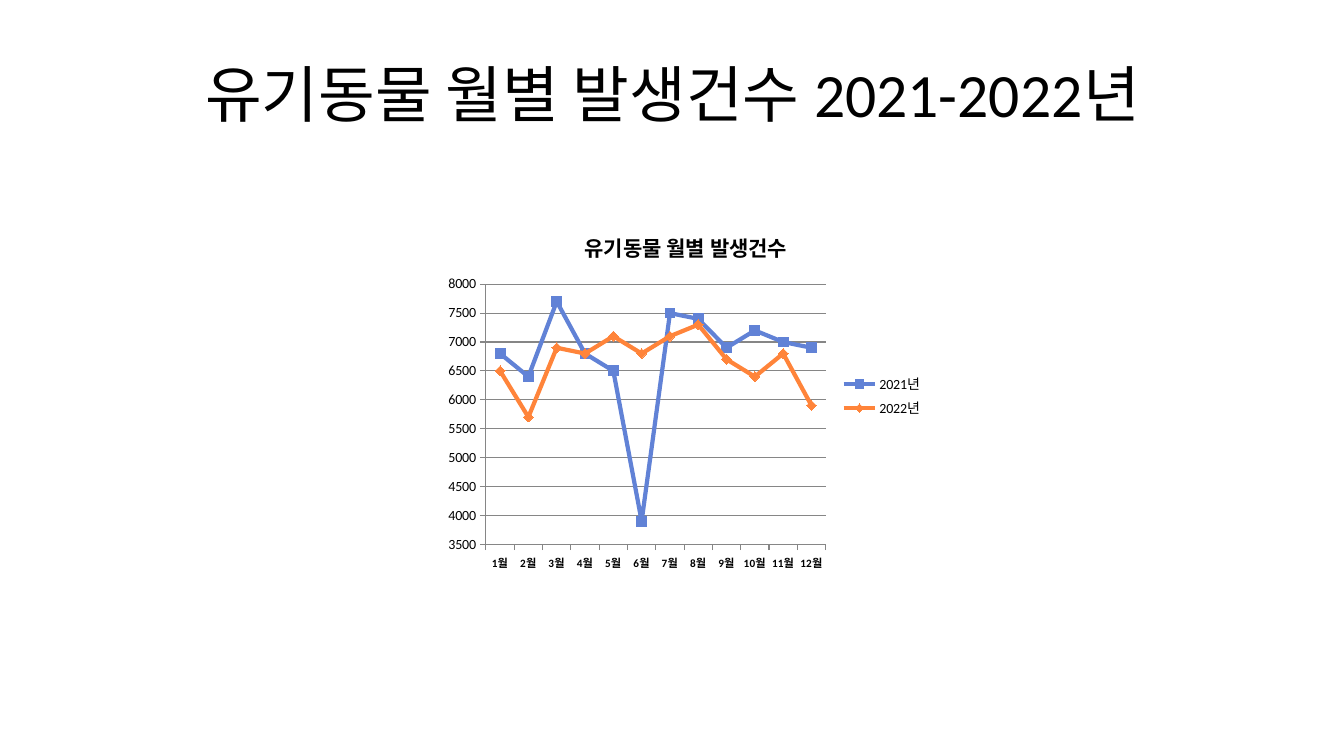
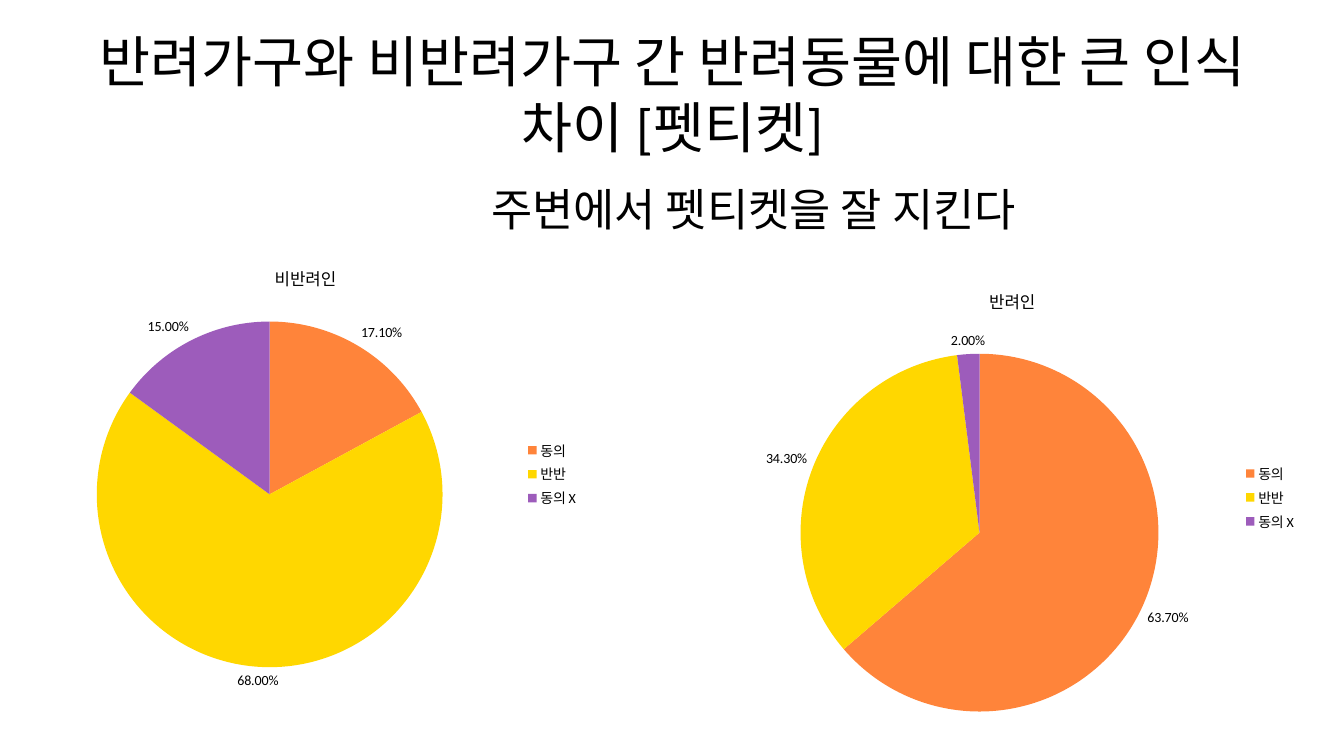
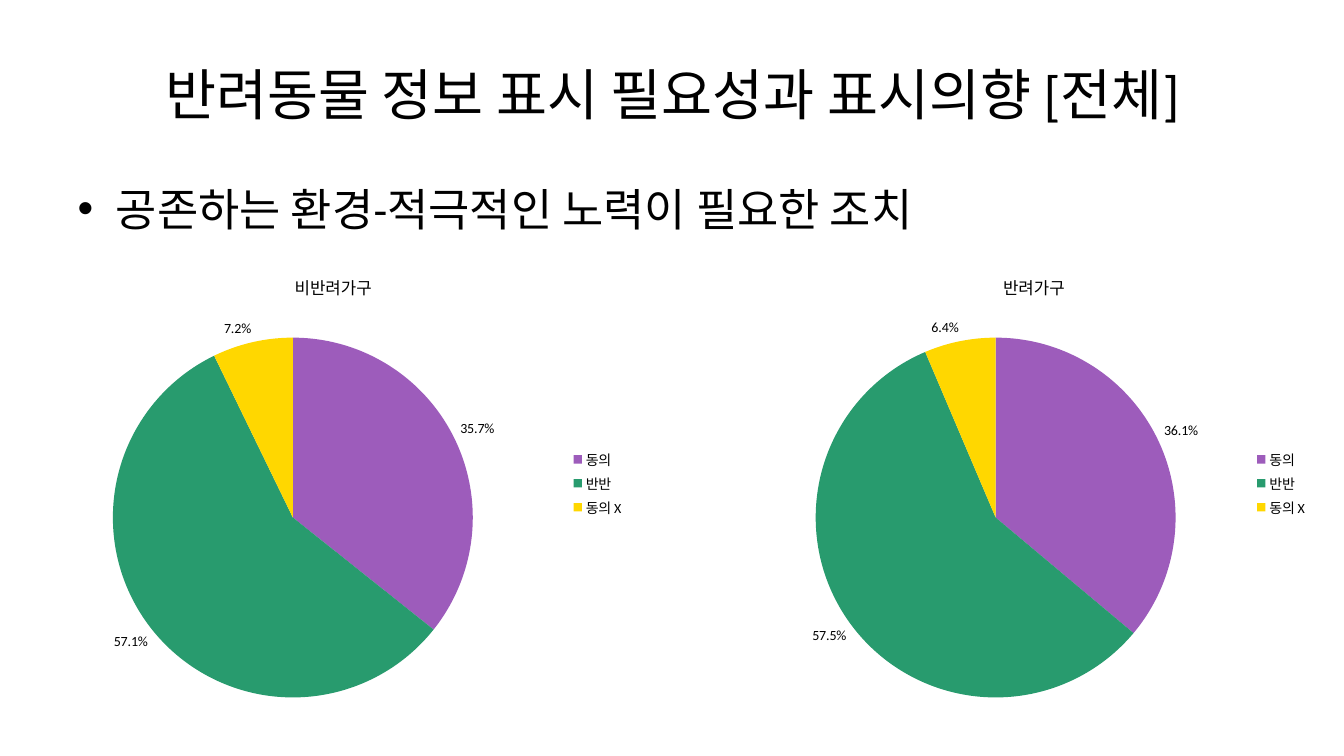
from dataclasses import dataclass

from lxml import etree
from pptx import Presentation
from pptx import util as u
from pptx.chart.chart import Chart
from pptx.chart.data import CategoryChartData
from pptx.dml.color import RGBColor
from pptx.enum import chart as ch
from pptx.enum import text as tx
from pptx.oxml import ns
from pptx.oxml.xmlchemy import OxmlElement
from pptx.slide import Slide


@dataclass(frozen=True)
class Theme:
    font: str = "Calibri"
    ink: str = "000000"
    grid: str = "868686"
    blue: str = "6182D6"
    orange: str = "FF843A"
    yellow: str = "FFD700"
    purple: str = "9D5CBB"
    green: str = "289B6E"
    title: float = 44
    long_title: float = 39.6
    body: float = 32
    line_title: float = 15
    pie_title: float = 12
    chart: float = 10
    month: float = 8


@dataclass(frozen=True)
class Box:
    left: float
    top: float
    width: float
    height: float

    def place(self) -> tuple[int, ...]:
        return tuple(u.Inches(v) for v in (self.left, self.top, self.width, self.height))


@dataclass(frozen=True)
class Series:
    name: str
    values: tuple[int, ...]
    color: str
    marker: ch.XL_MARKER_STYLE


@dataclass(frozen=True)
class Pie:
    title: str
    values: tuple[float, ...]
    box: Box
    plot: Box


@dataclass(frozen=True)
class PieSlide:
    title: str
    body: str
    indent: float
    bullet: bool
    colors: tuple[str, ...]
    number_format: str
    pies: tuple[Pie, ...]


T = Theme()
TITLE_BOX = Box(0.67, 0.3, 12, 1.25)
BODY_BOX = Box(0.67, 1.75, 12, 4.95)
LINE_BOX = Box(4.36, 2.12, 4.89, 3.62)
LINE_PLOT = Box(4.82, 2.82, 3.37, 2.58)
MONTHS = [f"{m}월" for m in range(1, 13)]
ANSWERS = ("동의", "반반", "동의 X")

MONTHLY = (
    Series("2021년", (6800, 6400, 7700, 6800, 6500, 3900, 7500, 7400, 6900, 7200, 7000, 6900),
           T.blue, ch.XL_MARKER_STYLE.SQUARE),
    Series("2022년", (6500, 5700, 6900, 6800, 7100, 6800, 7100, 7300, 6700, 6400, 6800, 5900),
           T.orange, ch.XL_MARKER_STYLE.DIAMOND),
)

PIE_SLIDES = (
    PieSlide(
        "반려가구와 비반려가구 간 반려동물에 대한 큰 인식 차이 [펫티켓]",
        "주변에서 펫티켓을 잘 지킨다", 4.1, False,
        (T.orange, T.yellow, T.purple), "0.00%",
        (Pie("비반려인", (0.171, 0.68, 0.15),
             Box(0.22, 2.44, 5.62, 4.53), Box(0.96, 3.19, 3.43, 3.43)),
         Pie("반려인", (0.637, 0.343, 0.02),
             Box(7.12, 2.67, 5.84, 4.53), Box(7.94, 3.51, 3.55, 3.55))),
    ),
    PieSlide(
        "반려동물 정보 표시 필요성과 표시의향 [전체]",
        "공존하는 환경-적극적인 노력이 필요한 조치", 0.38, True,
        (T.purple, T.green, T.yellow), "0.0%",
        (Pie("비반려가구", (0.357, 0.571, 0.072),
             Box(0.32, 2.53, 5.97, 4.53), Box(1.12, 3.35, 3.57, 3.57)),
         Pie("반려가구", (0.361, 0.575, 0.064),
             Box(7.44, 2.53, 5.63, 4.53), Box(8.09, 3.35, 3.57, 3.57))),
    ),
)


def set_font(font, size: float, bold: bool = False) -> None:
    for name, value in {"name": T.font, "size": u.Pt(size), "bold": bold}.items():
        setattr(font, name, value)
    font.color.rgb = RGBColor.from_string(T.ink)


def fill_placeholder(sp, box: Box, text: str, size: float):
    for name, value in zip(("left", "top", "width", "height"), box.place()):
        setattr(sp, name, value)
    tf = sp.text_frame
    tf.word_wrap = True
    tf.auto_size = tx.MSO_AUTO_SIZE.NONE
    p = tf.paragraphs[0]
    p.space_before = u.Pt(0)
    r = p.add_run()
    r.text = text
    set_font(r.font, size)
    return p


def add_title(s: Slide, text: str, size: float) -> None:
    p = fill_placeholder(s.shapes.title, TITLE_BOX, text, size)
    p.alignment = tx.PP_ALIGN.CENTER


def add_body(s: Slide, text: str, indent: float, bullet: bool) -> None:
    p = fill_placeholder(s.placeholders[1], BODY_BOX, text, T.body)
    pPr = p._p.get_or_add_pPr()
    pPr.set("marL", str(u.Inches(indent)))
    pPr.set("indent", str(-u.Inches(indent) if bullet else 0))
    mark = OxmlElement("a:buChar" if bullet else "a:buNone")
    if bullet:
        mark.set("char", "•")
    pPr.append(mark)


def set_plot_area(chart: Chart, box: Box, plot: Box) -> None:
    area = chart._chartSpace.chart.plotArea
    for old in area.findall(ns.qn("c:layout")):
        area.remove(old)
    layout = etree.Element(ns.qn("c:layout"))
    manual = etree.SubElement(layout, ns.qn("c:manualLayout"))
    values = {
        "layoutTarget": "inner", "xMode": "edge", "yMode": "edge",
        "x": (plot.left - box.left) / box.width,
        "y": (plot.top - box.top) / box.height,
        "w": plot.width / box.width,
        "h": plot.height / box.height,
    }
    for name, value in values.items():
        etree.SubElement(manual, ns.qn(f"c:{name}")).set("val", str(value))
    area.insert(0, layout)


def add_chart(s: Slide, kind: ch.XL_CHART_TYPE, data: CategoryChartData, box: Box,
              plot: Box, title: str, size: float, bold: bool) -> Chart:
    chart = s.shapes.add_chart(kind, *box.place(), data).chart
    set_font(chart.font, T.chart)
    chart.has_title = True
    p = chart.chart_title.text_frame.paragraphs[0]
    r = p.add_run()
    r.text = title
    set_font(r.font, size, bold)
    chart.chart_title.include_in_layout = False
    chart.has_legend = True
    chart.legend.position = ch.XL_LEGEND_POSITION.RIGHT
    chart.legend.include_in_layout = False
    set_plot_area(chart, box, plot)
    return chart


def add_line_chart(s: Slide) -> None:
    data = CategoryChartData()
    data.categories = MONTHS
    for row in MONTHLY:
        data.add_series(row.name, row.values)
    chart = add_chart(s, ch.XL_CHART_TYPE.LINE_MARKERS, data, LINE_BOX, LINE_PLOT,
                      "유기동물 월별 발생건수", T.line_title, True)
    axis = chart.value_axis
    limits = {"minimum_scale": 3500, "maximum_scale": 8000, "major_unit": 500,
              "has_major_gridlines": True}
    for name, value in limits.items():
        setattr(axis, name, value)
    for ax in (axis, chart.category_axis):
        ax.major_tick_mark = ch.XL_TICK_MARK.OUTSIDE
    for line in (axis.format.line, chart.category_axis.format.line, axis.major_gridlines.format.line):
        line.color.rgb = RGBColor.from_string(T.grid)
        line.width = u.Pt(0.75)
    set_font(axis.tick_labels.font, T.chart)
    set_font(chart.category_axis.tick_labels.font, T.month, True)
    for row, series in zip(MONTHLY, chart.plots[0].series):
        color = RGBColor.from_string(row.color)
        series.smooth = False
        series.format.line.color.rgb = color
        series.format.line.width = u.Pt(3)
        series.marker.style = row.marker
        series.marker.size = 7
        series.marker.format.fill.solid()
        series.marker.format.fill.fore_color.rgb = color
        series.marker.format.line.color.rgb = color


def add_pie(s: Slide, pie: Pie, colors: tuple[str, ...], number_format: str) -> None:
    data = CategoryChartData(number_format=number_format)
    data.categories = ANSWERS
    data.add_series(pie.title, pie.values)
    chart = add_chart(s, ch.XL_CHART_TYPE.PIE, data, pie.box, pie.plot,
                      pie.title, T.pie_title, False)
    plot = chart.plots[0]
    plot.vary_by_categories = True
    for i, color in enumerate(colors):
        fill = plot.series[0].points[i].format.fill
        fill.solid()
        fill.fore_color.rgb = RGBColor.from_string(color)
    plot.has_data_labels = True
    labels = plot.data_labels
    formats = {"show_value": True, "show_percentage": False, "number_format": number_format,
               "number_format_is_linked": False, "position": ch.XL_LABEL_POSITION.OUTSIDE_END}
    for name, value in formats.items():
        setattr(labels, name, value)
    set_font(labels.font, T.chart)


def main() -> None:
    prs = Presentation()
    prs.slide_width, prs.slide_height = u.Inches(13.33), u.Inches(7.5)
    s = prs.slides.add_slide(prs.slide_layouts[5])
    add_title(s, "유기동물 월별 발생건수 2021-2022년", T.title)
    add_line_chart(s)
    for page in PIE_SLIDES:
        s = prs.slides.add_slide(prs.slide_layouts[1])
        add_title(s, page.title, T.long_title)
        add_body(s, page.body, page.indent, page.bullet)
        for pie in page.pies:
            add_pie(s, pie, page.colors, page.number_format)
    prs.save("out.pptx")


if __name__ == "__main__":
    main()
